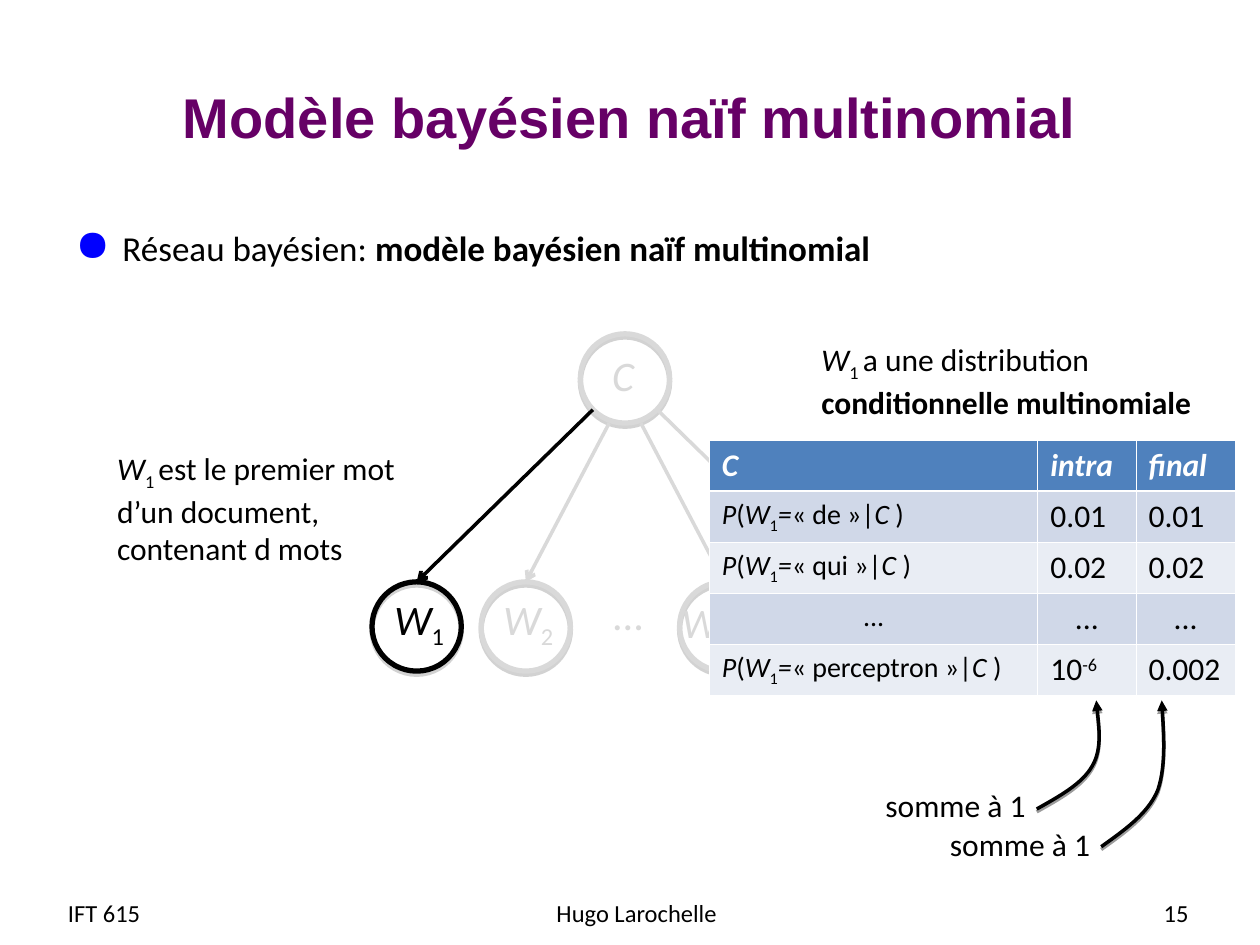
from dataclasses import dataclass

from lxml import etree
from pptx import Presentation
from pptx import util as u
from pptx.dml.color import RGBColor
from pptx.enum import shapes, text
from pptx.oxml.ns import qn

Cm = u.Cm


@dataclass(frozen=True)
class Theme:
    title_font: str = "Arial"
    font: str = "Calibri"
    title: str = "660066"
    ink: str = "000000"
    faded: str = "D9D9D9"
    bullet: str = "0000FF"
    white: str = "FFFFFF"
    header: str = "4F81BD"
    bands: tuple = ("D0D8E8", "E9EDF4")
    node_shadow: str = "808080"
    title_size: int = 32
    node_size: int = 24
    body_size: int = 20
    note_size: int = 18
    formula_size: int = 16
    footer_size: int = 14


T = Theme()
LEFT, CENTER, RIGHT = (text.PP_ALIGN.LEFT, text.PP_ALIGN.CENTER,
                       text.PP_ALIGN.RIGHT)
NODE, NODE_TOP, ROOT_X, ROOT_Y = 1.8, 11.73, 12.6, 7.63


def child(parent, tag, **attrs):
    return etree.SubElement(parent, qn(tag), {k: str(v) for k, v in attrs.items()})


def solid(parent, color):
    return child(child(parent, "a:solidFill"), "a:srgbClr", val=color)


def write(p, runs, size, color=T.ink, align=LEFT, font=T.font, bold=None):
    """Fill a paragraph with (text, style) runs; styles are i, b, _ (sub), ^ (super)."""
    p.alignment = align
    p.font.name, p.font.size, p.font.bold = font, u.Pt(size), bold
    p.font.color.rgb = RGBColor.from_string(color)
    for words, style in runs:
        r = p.add_run()
        r.text = words
        if "i" in style:
            r.font.italic = True
        if "b" in style:
            r.font.bold = True
        if "_" in style:
            r.font._element.set("baseline", "-25000")
        if "^" in style:
            r.font._element.set("baseline", "30000")


def variable(index):
    return [("W", "i"), (index, "_")]


def add_text(s, box, paragraphs, size, anchor=text.MSO_ANCHOR.TOP, **style):
    sp = s.shapes.add_textbox(*map(Cm, box))
    tf = sp.text_frame
    tf.word_wrap, tf.vertical_anchor = True, anchor
    for i, runs in enumerate(paragraphs):
        write(tf.add_paragraph() if i else tf.paragraphs[0], runs, size, **style)
    return sp


def add_bullet(s, box, runs):
    sp = add_text(s, box, [[]], T.body_size)
    p = sp.text_frame.paragraphs[0]
    pPr = p._p.get_or_add_pPr()
    for el in list(pPr):
        pPr.remove(el)
    pPr.set("marL", str(Cm(0.95)))
    pPr.set("indent", str(-Cm(0.95)))
    child(child(pPr, "a:buClr"), "a:srgbClr", val=T.bullet)
    child(pPr, "a:buSzPct", val=125000)
    child(pPr, "a:buChar", char="●")
    write(p, runs, T.body_size)


def cast_shadow(sp, color, opacity, distance):
    sp.shadow.inherit = False
    effects = sp._element.spPr.find(qn("a:effectLst"))
    shadow = child(effects, "a:outerShdw", blurRad=0, dist=u.Pt(distance),
                   dir=5400000, rotWithShape=0)
    child(solid_color(shadow, color), "a:alpha", val=opacity * 1000)


def solid_color(parent, color):
    return child(parent, "a:srgbClr", val=color)


def set_line(sp, color, width, head=None):
    sp.line.color.rgb = RGBColor.from_string(color)
    sp.line.width = u.Pt(width)
    if head:
        child(sp.line._get_or_add_ln(), "a:tailEnd", type=head)


def add_node(s, x, top, color):
    sp = s.shapes.add_shape(shapes.MSO_SHAPE.OVAL, Cm(x - NODE / 2), Cm(top),
                            Cm(NODE), Cm(NODE))
    sp.fill.background()
    set_line(sp, color, 3)
    cast_shadow(sp, T.node_shadow, 35, 1.8)


def add_arrow(s, start, end, color):
    cx = s.shapes.add_connector(shapes.MSO_CONNECTOR.STRAIGHT,
                                *map(Cm, (*start, *end)))
    set_line(cx, color, 2, "arrow")
    child(cx._element.spPr, "a:effectLst")


def add_curve(s, points):
    """Draw cubic Béziers: a start point, then two controls and an end for each."""
    pts = [(Cm(x), Cm(y)) for x, y in points]
    fb = s.shapes.build_freeform(*pts[0])
    fb.add_line_segments(pts[1:], close=False)
    sp = fb.convert_to_shape()
    route = sp._element.spPr.find(".//" + qn("a:path"))
    route.set("fill", "none")
    lines = route.findall(qn("a:lnTo"))
    for i in range(0, len(lines), 3):
        cubic = child(route, "a:cubicBezTo")
        for line in lines[i:i + 3]:
            cubic.append(line[0])
            route.remove(line)
    sp.fill.background()
    set_line(sp, T.ink, 2, "triangle")
    cast_shadow(sp, T.ink, 38, 1.6)


def add_network(s):
    add_node(s, ROOT_X, ROOT_Y - NODE / 2, T.faded)
    add_text(s, (12.09, 6.93, 1.4, 1.27), [[("C", "i")]], T.node_size, color=T.faded)
    add_text(s, (12.09, NODE_TOP, 1.4, 1.27), [[("...", "")]], T.node_size,
             color=T.faded)
    # index, node offset, arrow start offset, label offset and width
    leaves = [("1", -4.2, (-0.65, 0.63), (-0.7, 0.1), 1.8),
              ("2", -2.0, (-0.32, 0.9), (-0.7, 0.1), 1.8),
              ("d-1", 2.0, (0.32, 0.9), (-1.11, 0.18), 2.21),
              ("d", 4.2, (0.65, 0.63), (-0.7, 0.18), 2.39)]
    for index, dx, (sx, sy), (lx, ly), width in leaves:
        color = T.ink if index == "1" else T.faded
        x = ROOT_X + dx
        add_node(s, x, NODE_TOP, color)
        add_arrow(s, (ROOT_X + sx, ROOT_Y + sy), (x, NODE_TOP), color)
        add_text(s, (x + lx, NODE_TOP + ly, width, 1.42), [variable(index)],
                 T.node_size, color=color)


def fill_cell(cell, runs, fill, size, color, align, thick):
    """Write one cell with white borders; thick names the heavier edge."""
    tcPr = cell._tc.get_or_add_tcPr()
    for edge in "LRTB":
        ln = child(tcPr, "a:ln" + edge, w=u.Pt(1.47 if edge == thick else 0.45))
        solid(ln, T.white)
    cell.fill.solid()
    cell.fill.fore_color.rgb = RGBColor.from_string(fill)
    write(cell.text_frame.paragraphs[0], runs, size, color, align)


def add_probability_table(s):
    def formula(word):
        return [("P", "i"), ("(", ""), *variable("1"), ("=", "i"),
                (f"« {word} »|", ""), ("C ", "i"), (")", "")]

    def plain(words):
        return [(words, "")]

    rows = [[[(name, "bi")] for name in ("C", "intra", "final")],
            [formula("de"), plain("0.01"), plain("0.01")],
            [formula("qui"), plain("0.02"), plain("0.02")],
            [plain("...")] * 3,
            [formula("perceptron"), [("10", ""), ("-6", "^")], plain("0.002")]]
    widths = (6.62, 1.98, 2.0)
    table = s.shapes.add_table(len(rows), len(widths), Cm(14.3), Cm(8.87),
                               Cm(sum(widths)), Cm(5.15)).table
    for column, width in zip(table.columns, widths):
        column.width = Cm(width)
    for i, row in enumerate(rows):
        table.rows[i].height = Cm(1.03)
        for j, runs in enumerate(row):
            fill_cell(table.cell(i, j), runs,
                      fill=T.bands[(i - 1) % 2] if i else T.header,
                      size=T.formula_size if i and j == 0 else T.note_size,
                      color=T.ink if i else T.white,
                      align=CENTER if runs == plain("...") else LEFT,
                      thick={0: "B", 1: "T"}.get(i))


def add_footer(s):
    for left, width, words, align in ((1.12, 4.9, "IFT 615", LEFT),
                                      (8.81, 8.05, "Hugo Larochelle", CENTER),
                                      (18.29, 5.92, "15", RIGHT)):
        add_text(s, (left, 17.88, width, 1.02), [[(words, "")]], T.footer_size,
                 text.MSO_ANCHOR.MIDDLE, align=align)


def main():
    prs = Presentation()
    prs.slide_width, prs.slide_height = Cm(25.4), Cm(19.05)
    s = prs.slides.add_slide(prs.slide_layouts[6])

    add_text(s, (1.27, 0.76, 22.86, 3.18),
             [[("Modèle bayésien naïf multinomial", "")]], T.title_size,
             text.MSO_ANCHOR.MIDDLE, color=T.title, align=CENTER,
             font=T.title_font, bold=True)
    add_bullet(s, (1.27, 4.45, 22.86, 12.57),
               [("Réseau bayésien: ", ""), ("modèle bayésien naïf multinomial", "b")])
    add_footer(s)
    add_network(s)
    add_text(s, (2.11, 8.92, 6.6, 2.64),
             [[("W", "i"), ("1 ", "_"), ("est le premier mot", "")],
              [("d’un document, contenant d mots", "")]], T.note_size)
    add_text(s, (16.31, 6.73, 8.1, 1.88),
             [[("W", "i"), ("1 ", "_"), ("a une distribution ", ""),
               ("conditionnelle multinomiale", "b")]], T.note_size)
    add_curve(s, [(20.9, 16.31), (21.36, 16.05), (21.82, 15.8), (22.02, 15.44),
                  (22.23, 15.09), (22.1, 14.12), (22.1, 14.12)])
    add_curve(s, [(22.2, 17.07), (22.66, 16.74), (23.14, 16.41), (23.34, 15.93),
                  (23.52, 15.42), (23.42, 14.12), (23.42, 14.12)])
    for left, top in ((17.6, 15.72), (18.9, 16.51)):
        add_text(s, (left, top, 3.51, 1.02), [[("somme à 1", "")]], T.note_size)
    add_probability_table(s)
    prs.save("out.pptx")


if __name__ == "__main__":
    main()
